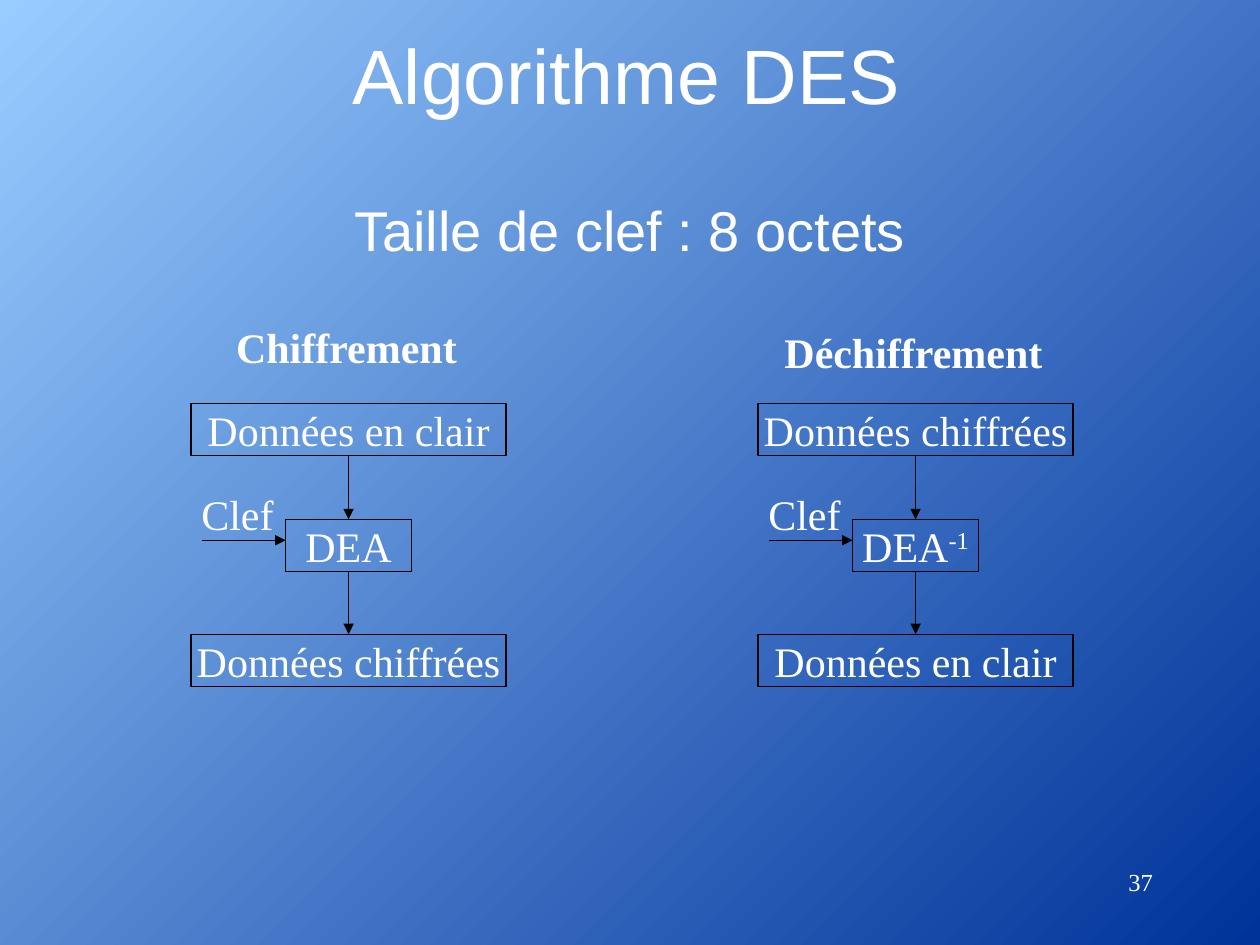
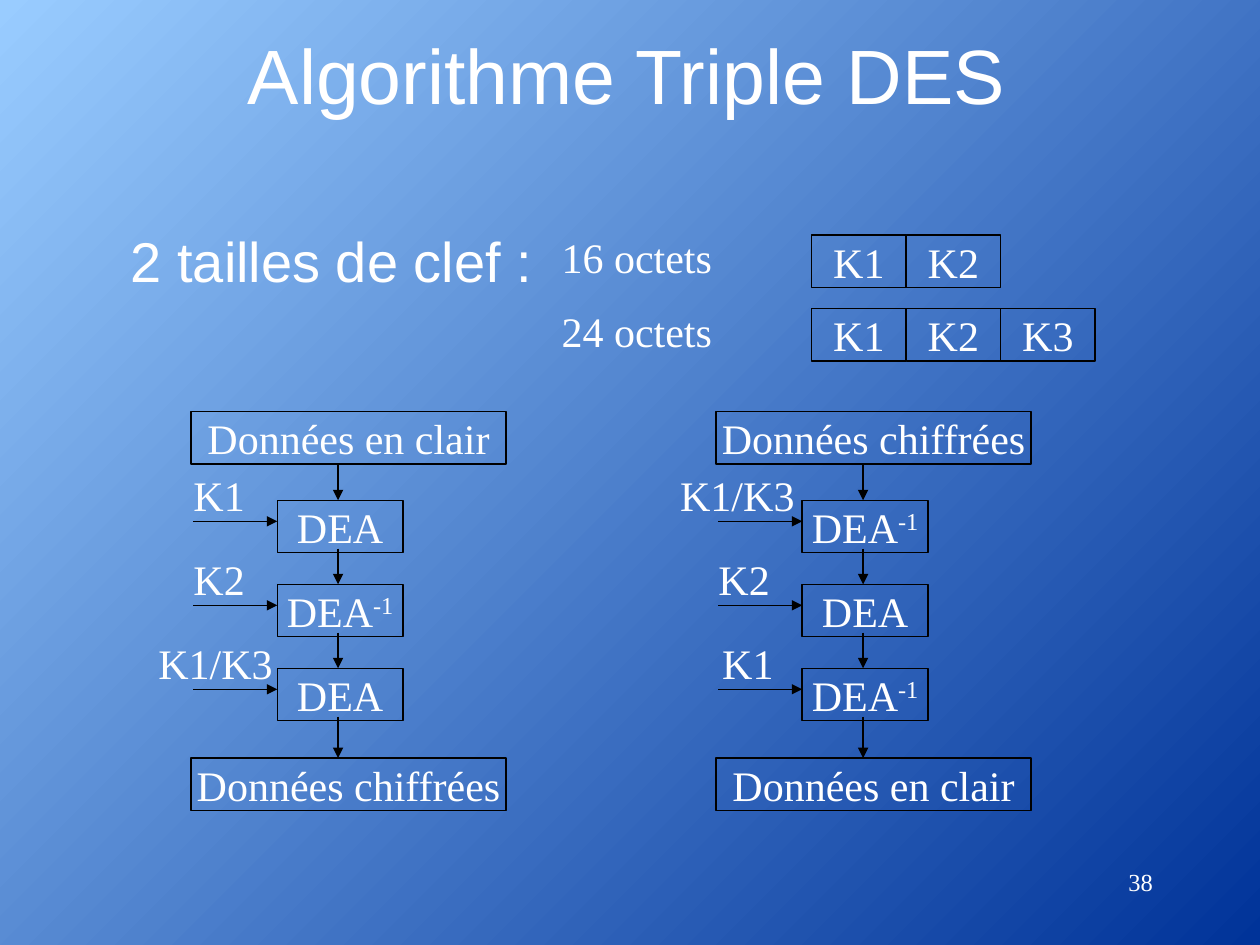
from dataclasses import dataclass

from lxml.etree import SubElement as Sub
from pptx import Presentation
from pptx.dml.color import RGBColor as Rgb
from pptx.enum.shapes import MSO_CONNECTOR as Link, MSO_SHAPE as Form
from pptx.enum.text import MSO_ANCHOR as Anchor, MSO_AUTO_SIZE as Fit, PP_ALIGN as Align
from pptx.oxml.ns import qn
from pptx.slide import Slide
from pptx.util import Inches, Length, Pt


@dataclass(frozen=True)
class Theme:
    dark: Rgb = Rgb(0x00, 0x33, 0x99)
    light: Rgb = Rgb(0x99, 0xCC, 0xFF)
    ink: Rgb = Rgb(0xFF, 0xFF, 0xFF)
    line: Rgb = Rgb(0x00, 0x00, 0x00)
    sans: str = "Arial"
    serif: str = "Times New Roman"
    title: int = 44
    lead: int = 32
    text: int = 24
    foot: int = 14
    gap: float = 13.8
    rule: float = 0.75


@dataclass(frozen=True)
class Area:
    col: float
    row: float
    wide: float
    high: float

    def cells(self) -> tuple[Length, ...]:
        return tuple(cell(n) for n in (self.col, self.row, self.wide, self.high))


@dataclass(frozen=True)
class Stage:
    name: str
    key: str
    shift: float
    wide: float


@dataclass(frozen=True)
class Flow:
    col: float
    start: str
    stages: tuple[Stage, ...]
    end: str


@dataclass(frozen=True)
class Plan:
    top: float
    first: float
    step: float
    last: float
    inset: float
    axis: float
    key: float
    leave: float


THEME = Theme()
WIDE, HIGH = Inches(10), Inches(7.5)
COLS = 120
BAR = 5
DATA = 30
CODE = 12
PART = 9

TITLE = Area(8.4, 3, 102.6, 8)
FOOT = Area(86, 82, 25, 6)
CLEAR, CIPHER = "Données en clair", "Données chiffrées"
DEA, BACK = "DEA", "DEA^-1"

ONE = Plan(top=38.4, first=11.05, step=11, last=22, inset=9, axis=15, key=1, leave=5)
TRIPLE = Plan(top=39.2, first=8.45, step=8, last=33, inset=8.2, axis=14, key=0.2, leave=4.6)

ONE_FLOWS = (
    Flow(18.2, CLEAR, (Stage(DEA, "Clef", -0.2, 9.4),), CIPHER),
    Flow(72.2, CIPHER, (Stage(BACK, "Clef", -0.2, 9.4),), CLEAR),
)
TRIPLE_FLOWS = (
    Flow(18.2, CLEAR, (
        Stage(DEA, "K1", -0.95, 7.4),
        Stage(BACK, "K2", -0.95, 7.4),
        Stage(DEA, "K1/K3", -4.3, 13.4),
    ), CIPHER),
    Flow(68.2, CIPHER, (
        Stage(BACK, "K1/K3", -4.6, 13.4),
        Stage(DEA, "K2", -0.95, 7.4),
        Stage(BACK, "K1", -0.6, 7.4),
    ), CLEAR),
)
HEADS = (("Chiffrement", 18, 30), ("Déchiffrement", 72, 30.5))
SIZES = ((22.4, ("K1", "K2")), (29.4, ("K1", "K2", "K3")))


def cell(count: float) -> Length:
    return Length(round(count * WIDE / COLS))


def style(frame, size: int, face: str, align: Align = Align.LEFT, bold: bool = False) -> None:
    for para in frame.paragraphs:
        para.alignment = align
        for run in para.runs:
            run.font.size = Pt(size)
            run.font.name = face
            run.font.bold = bold
            run.font.color.rgb = THEME.ink


def label(slide: Slide, text: str, area: Area, align: Align = Align.LEFT,
          size: int = THEME.text, bold: bool = False, wrap: bool = True):
    frame = slide.shapes.add_textbox(*area.cells()).text_frame
    frame.word_wrap = wrap
    frame.auto_size = Fit.NONE if wrap else Fit.SHAPE_TO_FIT_TEXT
    frame.text = text
    style(frame, size, THEME.serif, align, bold)
    return frame


def box(slide: Slide, text: str, area: Area) -> None:
    shape = slide.shapes.add_shape(Form.RECTANGLE, *area.cells())
    shape.shadow.inherit = False
    shape.fill.background()
    shape.line.color.rgb = THEME.line
    shape.line.width = Pt(THEME.rule)
    frame = shape.text_frame
    frame.word_wrap = False
    frame.vertical_anchor = Anchor.MIDDLE
    base, _, power = text.partition("^")
    frame.text = base
    if power:
        run = frame.paragraphs[0].add_run()
        run.text = power
        run.font._element.set("baseline", "30000")
    style(frame, THEME.text, THEME.serif, Align.CENTER)


def arrow(slide: Slide, col: float, row: float, to_col: float, to_row: float) -> None:
    ends = (cell(n) for n in (col, row, to_col, to_row))
    line = slide.shapes.add_connector(Link.STRAIGHT, *ends)
    line.line.color.rgb = THEME.line
    line.line.width = Pt(THEME.rule)
    Sub(line.line._get_or_add_ln(), qn("a:tailEnd"), type="triangle")
    Sub(line._element.spPr, qn("a:effectLst"))


def draw(slide: Slide, flow: Flow, plan: Plan) -> None:
    axis = flow.col + plan.axis
    left = flow.col + plan.inset
    end = plan.top + plan.last
    leave = plan.top + BAR
    box(slide, flow.start, Area(flow.col, plan.top, DATA, BAR))
    for turn, stage in enumerate(flow.stages):
        row = plan.top + plan.first + turn * plan.step
        arrow(slide, axis, leave, axis, row)
        box(slide, stage.name, Area(left, row, CODE, BAR))
        arrow(slide, flow.col + plan.key, row + 2, left, row + 2)
        label(slide, stage.key, Area(flow.col + stage.shift, row - 3.5, stage.wide, 6), wrap=False)
        leave = row + plan.leave
    arrow(slide, axis, leave, axis, end)
    box(slide, flow.end, Area(flow.col, end, DATA, BAR))


def fill(holder, text: str, area: Area, size: int, align: Align, anchor: Anchor) -> None:
    holder.left, holder.top, holder.width, holder.height = area.cells()
    frame = holder.text_frame
    frame.text = text
    frame.auto_size = Fit.NONE
    frame.vertical_anchor = anchor
    para = frame.paragraphs[0]
    para.space_before = Pt(0)
    props = para._p.get_or_add_pPr()
    props.set("marL", "0")
    props.set("indent", "0")
    Sub(props, qn("a:buNone"))
    style(frame, size, THEME.sans, align)


def page(deck, title: str, lead: str, area: Area, align: Align, number: int) -> Slide:
    slide = deck.slides.add_slide(deck.slide_layouts[1])
    fill(slide.shapes.title, title, TITLE, THEME.title, Align.CENTER, Anchor.MIDDLE)
    fill(slide.placeholders[1], lead, area, THEME.lead, align, Anchor.TOP)
    label(slide, str(number), FOOT, Align.RIGHT, THEME.foot)
    return slide


def paint(deck) -> None:
    back = deck.slide_master.background.fill
    back.gradient()
    back.gradient_angle = 135
    for stop, tone in zip(back.gradient_stops, (THEME.dark, THEME.light)):
        stop.color.rgb = tone


def single(deck) -> None:
    slide = page(deck, "Algorithme DES", "Taille de clef : 8 octets",
                 Area(9, 18, 102, 62), Align.CENTER, 37)
    for text, col, row in HEADS:
        label(slide, text, Area(col, row, DATA, 6), Align.CENTER, bold=True)
    for flow in ONE_FLOWS:
        draw(slide, flow, ONE)


def triple(deck) -> None:
    slide = page(deck, "Algorithme Triple DES", "2 tailles de clef :",
                 Area(11.25, 20.95, 44, 7.7), Align.LEFT, 38)
    frame = label(slide, "16 octets\n24 octets", Area(52.3, 21.45, 28, 13.2))
    frame.paragraphs[1].space_before = Pt(THEME.gap)
    for row, keys in SIZES:
        for turn, key in enumerate(keys):
            box(slide, key, Area(77.3 + turn * PART, row, PART, BAR))
    for flow in TRIPLE_FLOWS:
        draw(slide, flow, TRIPLE)


def main() -> None:
    deck = Presentation()
    deck.slide_width, deck.slide_height = WIDE, HIGH
    paint(deck)
    single(deck)
    triple(deck)
    deck.save("out.pptx")


if __name__ == "__main__":
    main()
